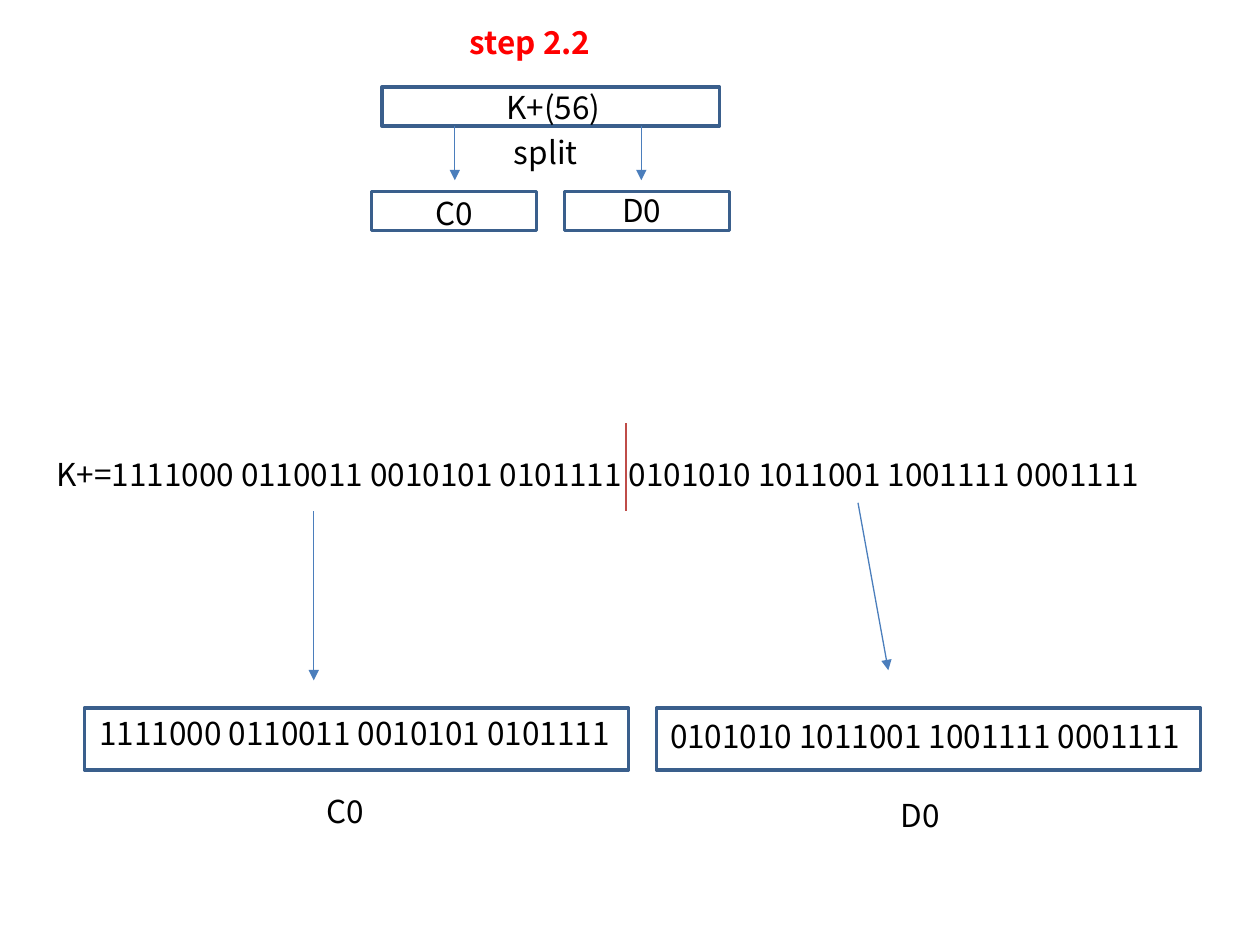
from lxml import etree
from pptx import Presentation
from pptx.dml.color import RGBColor
from pptx.enum.shapes import MSO_CONNECTOR, MSO_SHAPE
from pptx.enum.text import MSO_AUTO_SIZE
from pptx.oxml.ns import qn
from pptx.util import Pt

RECT = MSO_SHAPE.RECTANGLE
STRAIGHT = MSO_CONNECTOR.STRAIGHT
GROW = MSO_AUTO_SIZE.SHAPE_TO_FIT_TEXT
FONT = "Noto Sans CJK KR"
COLORS = {"border": "3A5F8C", "arrow": "4B7EBC", "divider": "BF4C48",
          "text": "000000", "title": "FF0000"}
C0_BITS = "1111000 0110011 0010101 0101111"
D0_BITS = "0101010 1011001 1001111 0001111"


def rgb(name):
    return RGBColor.from_string(COLORS[name])


def add_frame(s, x, y, w, h):
    sp = s.shapes.add_shape(RECT, Pt(x), Pt(y), Pt(w), Pt(h))
    sp.shadow.inherit = False
    sp.fill.background()
    sp.line.color.rgb = rgb("border")
    sp.line.width = Pt(2)


def add_text(s, text, x, y, w, h=28.8, color="text", bold=False, tight=False):
    tf = s.shapes.add_textbox(Pt(x), Pt(y), Pt(w), Pt(h)).text_frame
    tf.word_wrap = True
    tf.auto_size = GROW
    p = tf.paragraphs[0]
    p.text = text
    if tight:
        p.line_spacing = Pt(8)
        p.space_after = Pt(10)
    font = p.runs[0].font
    font.name = FONT
    font.size = Pt(18)
    font.bold = bold
    font.color.rgb = rgb(color)


def add_line(s, x1, y1, x2, y2, color="arrow", arrow=True):
    line = s.shapes.add_connector(STRAIGHT, Pt(x1), Pt(y1), Pt(x2), Pt(y2))
    line.line.color.rgb = rgb(color)
    line.line.width = Pt(0.75)
    if arrow:
        etree.SubElement(line.line._get_or_add_ln(), qn("a:tailEnd"), type="triangle")
    etree.SubElement(line._element.spPr, qn("a:effectLst"))


def add_split_diagram(s, x, y):
    add_frame(s, x + 5.8, y + 40.3, 193, 22.3)
    for dx in (0, 110.2):
        add_frame(s, x + dx, y + 100, 94.3, 22.3)
    for dx in (47.5, 154.1):
        add_line(s, x + dx, y + 62.6, x + dx, y + 93.6)
    add_text(s, "step 2.2", x + 49, y, 180.7, color="title", bold=True)
    add_text(s, "K+(56)", x + 69.8, y + 37.4, 79.9)
    add_text(s, "split", x + 74.2, y + 63.3, 130.3)
    add_text(s, "C0", x + 29.5, y + 97.9, 56.9)
    add_text(s, "D0", x + 136.1, y + 96.4, 56.9)


def add_bit_example(s, x, y):
    add_text(s, f"K+={C0_BITS} {D0_BITS}", x, y + 28, 657.4, 17.3, tight=True)
    add_line(s, x + 332.6, y, x + 332.6, y + 50.3, "divider", arrow=False)
    add_line(s, x + 154.1, y + 50.3, x + 154.1, y + 146.8)
    add_line(s, x + 465.1, y + 45.3, x + 482.4, y + 141)
    for dx in (23, 349.9):
        add_frame(s, x + dx, y + 162.6, 311, 35.3)
    add_text(s, C0_BITS, x + 24.5, y + 162.6, 317.5)
    add_text(s, D0_BITS, x + 350.6, y + 177.8, 317.5, 17.3, tight=True)
    add_text(s, "C0", x + 154.1, y + 207.3, 103)
    add_text(s, "D0", x + 482.4, y + 209.4, 103)


prs = Presentation()
prs.slide_width, prs.slide_height = Pt(720), Pt(540)
s = prs.slides.add_slide(prs.slide_layouts[6])
add_split_diagram(s, 212.4, 9.4)
add_bit_example(s, 25.2, 242)
prs.save("out.pptx")
